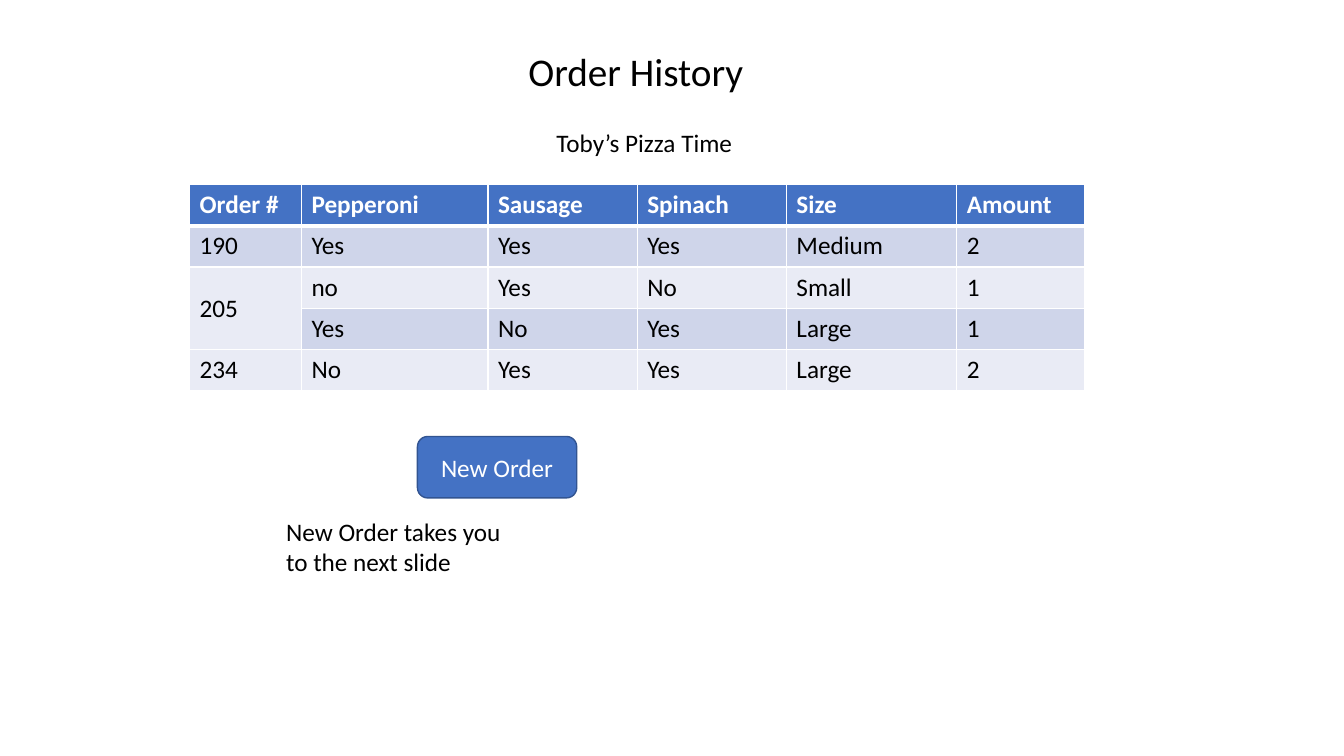
from lxml.etree import SubElement
from pptx import Presentation
from pptx.dml.color import RGBColor
from pptx.enum.shapes import MSO_SHAPE
from pptx.enum.text import MSO_ANCHOR, MSO_AUTO_SIZE, PP_ALIGN
from pptx.oxml.ns import qn
from pptx.util import Pt

PX = 9144
FONT = "Calibri"
BLACK = RGBColor(0x00, 0x00, 0x00)
WHITE = RGBColor(0xFF, 0xFF, 0xFF)
BLUE = RGBColor(0x44, 0x72, 0xC4)
DARK_BLUE = RGBColor(0x32, 0x54, 0x91)
BANDS = (RGBColor(0xCF, 0xD5, 0xEA), RGBColor(0xE9, 0xEB, 0xF5))

COLUMN_WIDTHS = (111, 185, 148, 148, 169, 127)
ROW_HEIGHT = 41
ORDERS = (
    ("Order #", "Pepperoni", "Sausage", "Spinach", "Size", "Amount"),
    ("190", "Yes", "Yes", "Yes", "Medium", "2"),
    ("205", "no", "Yes", "No", "Small", "1"),
    ("", "Yes", "No", "Yes", "Large", "1"),
    ("234", "No", "Yes", "Yes", "Large", "2"),
)


def emu(*lengths):
    """Turn px lengths into EMU."""
    return [n * PX for n in lengths]


def write(tf, text, color=BLACK, size=18, bold=False, align=PP_ALIGN.LEFT):
    """Fill a text frame with one formatted paragraph."""
    tf.text = text
    p = tf.paragraphs[0]
    p.alignment = align
    for r in p.runs:
        r.font.name = FONT
        r.font.size = Pt(size)
        r.font.bold = bold
        r.font.color.rgb = color


def add_title(s, box, text):
    """Place and format the slide title."""
    sp = s.shapes.title
    sp.left, sp.top, sp.width, sp.height = emu(*box)
    tf = sp.text_frame
    tf.auto_size = MSO_AUTO_SIZE.NONE
    tf.vertical_anchor = MSO_ANCHOR.TOP
    write(tf, text, size=28)


def add_label(s, box, text):
    """Add a wrapped text box."""
    tf = s.shapes.add_textbox(*emu(*box)).text_frame
    tf.word_wrap = True
    write(tf, text)


def add_button(s, box, text):
    """Add a rounded button."""
    sp = s.shapes.add_shape(MSO_SHAPE.ROUNDED_RECTANGLE, *emu(*box))
    sp.shadow.inherit = False
    sp.fill.solid()
    sp.fill.fore_color.rgb = BLUE
    sp.line.color.rgb = DARK_BLUE
    sp.line.width = Pt(1)
    tf = sp.text_frame
    tf.vertical_anchor = MSO_ANCHOR.MIDDLE
    write(tf, text, WHITE, align=PP_ALIGN.CENTER)


def set_borders(cell, top, bottom):
    """Draw white cell borders, with top and bottom widths in points."""
    tc_pr = cell._tc.get_or_add_tcPr()
    for side, width in (("L", 1), ("R", 1), ("T", top), ("B", bottom)):
        ln = SubElement(tc_pr, qn(f"a:ln{side}"), w=str(Pt(width)))
        fill = SubElement(ln, qn("a:solidFill"))
        SubElement(fill, qn("a:srgbClr"), val=str(WHITE))


def add_orders(s, left, top):
    """Add the banded table of orders."""
    box = emu(left, top, sum(COLUMN_WIDTHS), ROW_HEIGHT * len(ORDERS))
    table = s.shapes.add_table(len(ORDERS), len(COLUMN_WIDTHS), *box).table
    for column, width in zip(table.columns, COLUMN_WIDTHS):
        column.width = width * PX
    for i, order in enumerate(ORDERS):
        table.rows[i].height = ROW_HEIGHT * PX
        header = i == 0
        for j, text in enumerate(order):
            cell = table.cell(i, j)
            write(cell.text_frame, text, WHITE if header else BLACK, bold=header)
            set_borders(cell, 3 if i == 1 else 1, 3 if header else 1)
            cell.fill.solid()
            cell.fill.fore_color.rgb = BLUE if header else BANDS[(i - 1) % 2]
    shared = table.cell(2, 0)
    shared.merge(table.cell(3, 0))
    shared.vertical_anchor = MSO_ANCHOR.MIDDLE


def main():
    """Build the order history slide."""
    prs = Presentation()
    prs.slide_width, prs.slide_height = emu(1333, 750)
    s = prs.slides.add_slide(prs.slide_layouts[5])
    add_label(s, (542, 121, 212, 40), "Toby’s Pizza Time")
    add_title(s, (514, 42, 553, 57), "Order History")
    add_button(s, (414, 433, 158, 61), "New Order")
    add_orders(s, 188, 183)
    add_label(s, (274, 507, 240, 71), "New Order takes you to the next slide")
    prs.save("out.pptx")


if __name__ == "__main__":
    main()
